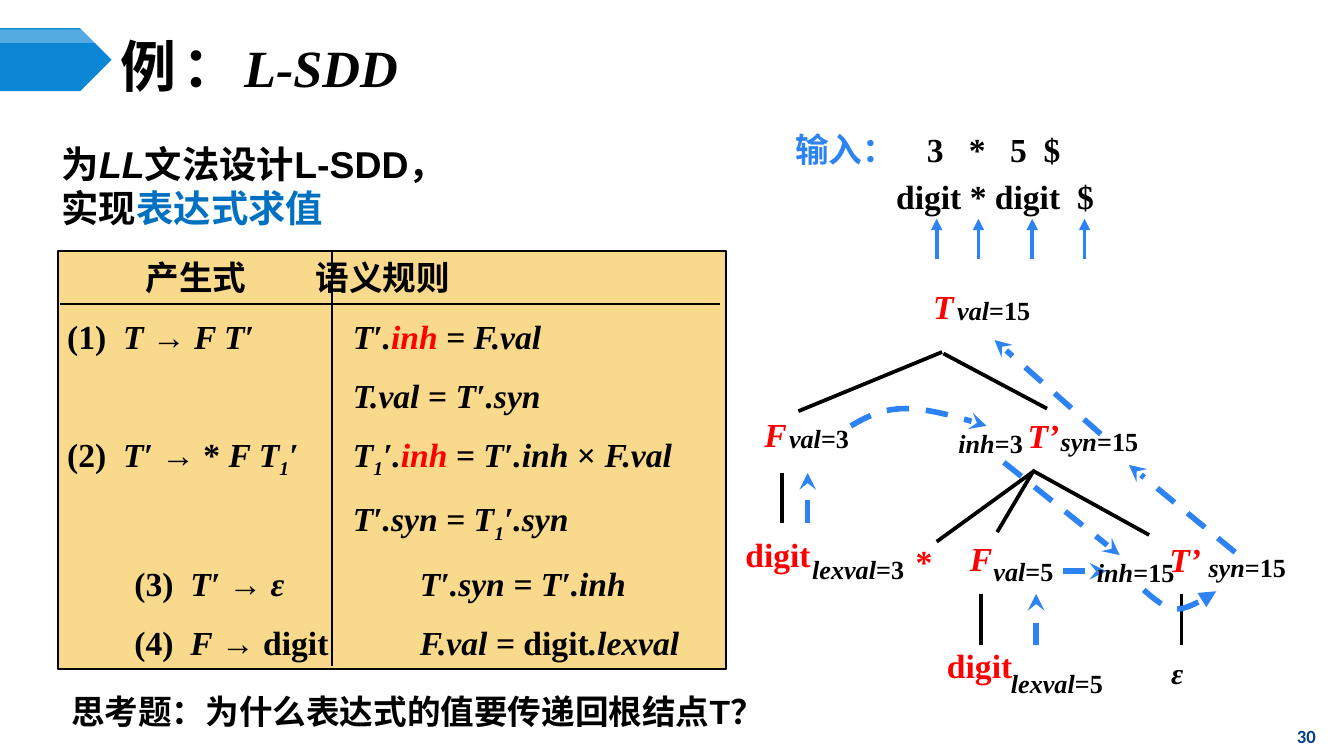
"""Build the L-SDD example slide: rule table, annotated parse tree and input."""
from lxml.etree import SubElement
from pptx import Presentation
from pptx.dml.color import RGBColor
from pptx.enum.dml import MSO_LINE
from pptx.enum.shapes import MSO_CONNECTOR, MSO_SHAPE
from pptx.enum.text import MSO_ANCHOR, PP_ALIGN
from pptx.oxml.ns import qn
from pptx.util import Pt

BLACK = RGBColor(0x00, 0x00, 0x00)
WHITE = RGBColor(0xFF, 0xFF, 0xFF)
RED = RGBColor(0xFF, 0x00, 0x00)
BLUE = RGBColor(0x2D, 0x83, 0xF4)
SKY = RGBColor(0x0B, 0x87, 0xD6)
DEEP_BLUE = RGBColor(0x00, 0x70, 0xC0)
NAVY = RGBColor(0x07, 0x3E, 0x87)
SAND = RGBColor(0xF9, 0xD9, 0x8C)
SERIF, SANS, HAN = "Times New Roman", "Arial", "Noto Sans CJK SC"


def write(paragraph, text, size=18, font=SERIF, color=BLACK, italic=False, baseline=0, spacing=0):
    run = paragraph.add_run()
    run.text = text
    run.font.size, run.font.name = Pt(size), font
    run.font.bold, run.font.italic = True, italic
    run.font.color.rgb = color
    properties = run._r.get_or_add_rPr()
    SubElement(properties, qn("a:ea"), typeface=HAN)
    if baseline:
        properties.set("baseline", str(baseline))
    if spacing:
        properties.set("spc", str(spacing))


def stroke(shape, color=BLACK, width=2, dashed=False, head=None):
    shape.line.color.rgb = color
    shape.line.width = Pt(width)
    if dashed:
        shape.line.dash_style = MSO_LINE.DASH
    outline = shape._element.spPr.find(qn("a:ln"))
    if head:
        SubElement(outline, qn("a:tailEnd"), type=head)
    SubElement(shape._element.spPr, qn("a:effectLst"))


deck = Presentation()
deck.slide_width, deck.slide_height = Pt(720), Pt(405)
slide = deck.slides.add_slide(deck.slide_layouts[5])
shapes = slide.shapes

for top, height, color in [(15.1, 33.8, SKY), (15.8, 7.2, WHITE)]:
    banner = shapes.add_shape(MSO_SHAPE.PENTAGON, 0, Pt(top), Pt(59.8), Pt(height))
    banner.shadow.inherit = False
    banner.fill.solid()
    banner.fill.fore_color.rgb = color
    banner.line.fill.background()
SubElement(banner._element.spPr.find(".//" + qn("a:srgbClr")), qn("a:alpha"), val="30000")

title = shapes.title
title.left, title.top, title.width, title.height = Pt(59.8), Pt(20.9), Pt(624), Pt(28)
heading = title.text_frame
heading.vertical_anchor = MSO_ANCHOR.MIDDLE
heading.margin_left = heading.margin_right = Pt(5)
heading.margin_top = heading.margin_bottom = Pt(3.6)
heading.paragraphs[0].alignment = PP_ALIGN.LEFT
write(heading.paragraphs[0], "例：", size=30, spacing=300)
write(heading.paragraphs[0], "L-SDD", size=28, italic=True)

rules = shapes.add_shape(MSO_SHAPE.RECTANGLE, Pt(31), Pt(134.6), Pt(357.8), Pt(224))
rules.fill.solid()
rules.fill.fore_color.rgb = SAND
stroke(rules, width=1)
rules.text_frame.word_wrap = True
rules.text_frame.vertical_anchor = MSO_ANCHOR.TOP
rules.text_frame.margin_left = rules.text_frame.margin_right = Pt(5)
rules.text_frame.margin_top = rules.text_frame.margin_bottom = Pt(3.6)

goal = shapes.add_textbox(Pt(25.9), Pt(72.7), Pt(243.4), Pt(55.4))
question = shapes.add_textbox(Pt(31), Pt(367.2), Pt(423.4), Pt(28.8))
source = shapes.add_textbox(Pt(419), Pt(65.5), Pt(265), Pt(81.4))

SLANT = dict(italic=True)
MARKED = dict(italic=True, color=RED)
SUB = dict(italic=True, baseline=-25000)
LATIN, INPUT = dict(font=SANS, size=20), dict(color=BLUE)
NEAR, FAR = (30, 153), (36, 66, 189)
passages = [
    (rules, 10, [
        ((42, 133), 21, [("\t产生式\t语义规则", {})]),
        (NEAR, None, [("(1)\t", {}), ("T ", SLANT), ("→", {}), (" F T′\tT′.", SLANT),
                      ("inh", MARKED), (" = F.val", SLANT)]),
        (NEAR, None, [("\t\tT.val ", SLANT), ("= ", {}), ("T′.syn", SLANT)]),
        (NEAR, None, [("(2)\t", {}), ("T′ ", SLANT), ("→ *", {}), (" F T", SLANT), ("1", SUB),
                      ("′\tT", SLANT), ("1", SUB), ("′.", SLANT), ("inh", MARKED),
                      (" = T′.inh", SLANT), (" × ", {}), ("F.val", SLANT)]),
        (NEAR, None, [("\t\tT′.syn = T", SLANT), ("1", SUB), ("′.syn", SLANT)]),
        (FAR, None, [("\t(3)\t", {}), ("T′ ", SLANT), ("→ ", {}), ("ε\tT′.syn = T′.inh", SLANT)]),
        (FAR, None, [("\t(4)\t", {}), ("F", SLANT), (" → digit\t", {}), ("F.val = ", SLANT),
                     ("digit", {}), (".lexval", SLANT)]),
    ]),
    (goal, 0, [
        ((), 23.5, [("为", LATIN), ("LL", dict(LATIN, italic=True)), ("文法设计L-SDD，", LATIN)]),
        ((), 23.5, [("实现", LATIN), ("表达式求值", dict(LATIN, color=DEEP_BLUE))]),
    ]),
    (question, 0, [((), 21, [("思考题：为什么表达式的值要传递回根结点T？", dict(font=SANS))])]),
    (source, 3.6, [
        ((70.4, 93, 115, 133), 21.5, [("输入：", INPUT), ("\t3\t*\t5\t$", {})]),
        ((54, 151), 21.5, [("\tdigit * digit\t$", {})]),
    ]),
]
for box, gap, lines in passages:
    frame = box.text_frame
    frame.word_wrap = True
    for index, (stops, leading, runs) in enumerate(lines):
        paragraph = frame.add_paragraph() if index else frame.paragraphs[0]
        paragraph.alignment = PP_ALIGN.LEFT
        if stops:
            tabs = SubElement(paragraph._p.get_or_add_pPr(), qn("a:tabLst"))
            for stop in stops:
                SubElement(tabs, qn("a:tab"), pos=str(Pt(stop)), algn="l")
        if leading:
            paragraph.line_spacing = Pt(leading)
        if index:
            paragraph.space_before = Pt(gap)
        for text, look in runs:
            write(paragraph, text, **look)

nodes = [
    ("T", 488.9, 150.5, 33.1), ("F", 404.6, 218.9, 21.6), ("T’", 544.3, 219.6, 29.5),
    ("digit", 393.8, 283, 46.1), ("*", 484.6, 286.6, 20.9), ("F", 513.4, 285.1, 24.5),
    ("T’", 620.6, 285.8, 28.8), ("digit", 501.8, 342.7, 46.1),
]
for symbol, left, top, width in nodes:
    node = shapes.add_textbox(Pt(left), Pt(top), Pt(width), Pt(27.4))
    node.fill.solid()
    node.fill.fore_color.rgb = WHITE
    node.text_frame.word_wrap = False
    node.text_frame.margin_left = node.text_frame.margin_right = Pt(5)
    node.text_frame.vertical_anchor = MSO_ANCHOR.MIDDLE
    node.text_frame.paragraphs[0].alignment = PP_ALIGN.CENTER
    write(node.text_frame.paragraphs[0], symbol, color=RED, italic=symbol[0] in "TF")

BRANCH = {}
FLOW = dict(color=BLUE, width=3, dashed=True, head="stealth")
POINTER = dict(color=BLUE, head="triangle")
RULE = dict(width=1)
links = [
    (32.4, 162.7, 385.9, 162.7, RULE), (177.8, 134.6, 177.8, 357, RULE),
    (504.7, 188.6, 427.7, 220.3, BRANCH), (505.4, 189.4, 560.9, 218.9, BRANCH),
    (553, 253.4, 534.2, 285.1, BRANCH), (554.4, 252, 501.8, 290.2, BRANCH),
    (553, 252, 615.6, 286.6, BRANCH), (419, 280, 419, 253.4, BRANCH),
    (525.6, 345.6, 525.6, 318.2, BRANCH), (632.9, 345.6, 632.9, 318.2, BRANCH),
    (432.7, 280, 432.7, 253.4, FLOW), (555.1, 345.6, 555.1, 318.2, FLOW),
    (569.5, 306, 592.6, 306, FLOW), (537.8, 247.7, 599.8, 297.4, FLOW),
    (661.7, 295.9, 604.8, 249.1, FLOW), (589.7, 232.6, 532.8, 182.2, FLOW),
] + [(x, 138.6, x, 117.2, POINTER) for x in (501.8, 524.2, 553, 581)]
for x1, y1, x2, y2, look in links:
    link = shapes.add_connector(MSO_CONNECTOR.STRAIGHT, Pt(x1), Pt(y1), Pt(x2), Pt(y2))
    stroke(link, **look)

arcs = [
    ([(455.8, 228.2), (464.4, 223.2), (473, 218.9), (485.3, 218.9),
      (496.8, 218.9), (512.6, 223.2), (528.5, 228.2)], "stealth"),
    ([(612.7, 316.1), (618.5, 321.1), (624.2, 326.2), (630.7, 326.2),
      (636.5, 326.9), (650.9, 317.5), (651.6, 316.8)], "triangle"),
]
for points, head in arcs:
    curve = []
    for start in (0, 3):
        a, b, c, d = points[start:start + 4]
        for t in [step / 12 for step in range(1, 13)]:
            s = 1 - t
            curve.append([Pt(s**3 * p + 3 * s * s * t * q + 3 * s * t * t * r + t**3 * e)
                          for p, q, r, e in zip(a, b, c, d)])
    outline = shapes.build_freeform(Pt(points[0][0]), Pt(points[0][1]))
    outline.add_line_segments(curve, close=False)
    arc = outline.convert_to_shape()
    arc.fill.background()
    stroke(arc, **dict(FLOW, head=head))

attributes = [
    ("val", "=15", 505.4, 154.1, 54), ("val", "=3", 415.4, 222.5, 46.8),
    ("inh", "=3", 506.2, 225.4, 49), ("syn", "=15", 560.9, 224.6, 56.2),
    ("lexval", "=3", 427.7, 293, 64.1), ("val", "=5", 524.9, 293.8, 46.8),
    ("inh", "=15", 580.3, 294.5, 56.2), ("syn", "=15", 640.1, 291.6, 56.2),
    ("lexval", "=5", 534.2, 354.2, 64.1), ("ε", "", 619.9, 347, 21.6),
]
for name, value, left, top, width in attributes:
    attribute = shapes.add_textbox(Pt(left), Pt(top), Pt(width), Pt(24.5))
    attribute.text_frame.word_wrap = False
    label = attribute.text_frame.paragraphs[0]
    label.alignment = PP_ALIGN.CENTER
    write(label, name, size=14 if value else 16, italic=True)
    if value:
        write(label, value, size=14)

number = shapes.add_textbox(Pt(679.7), Pt(383.8), Pt(40.3), Pt(21.2))
number.text_frame.vertical_anchor = MSO_ANCHOR.MIDDLE
number.text_frame.paragraphs[0].alignment = PP_ALIGN.CENTER
write(number.text_frame.paragraphs[0], "30", size=10, font="Calibri", color=NAVY)

deck.save("out.pptx")
